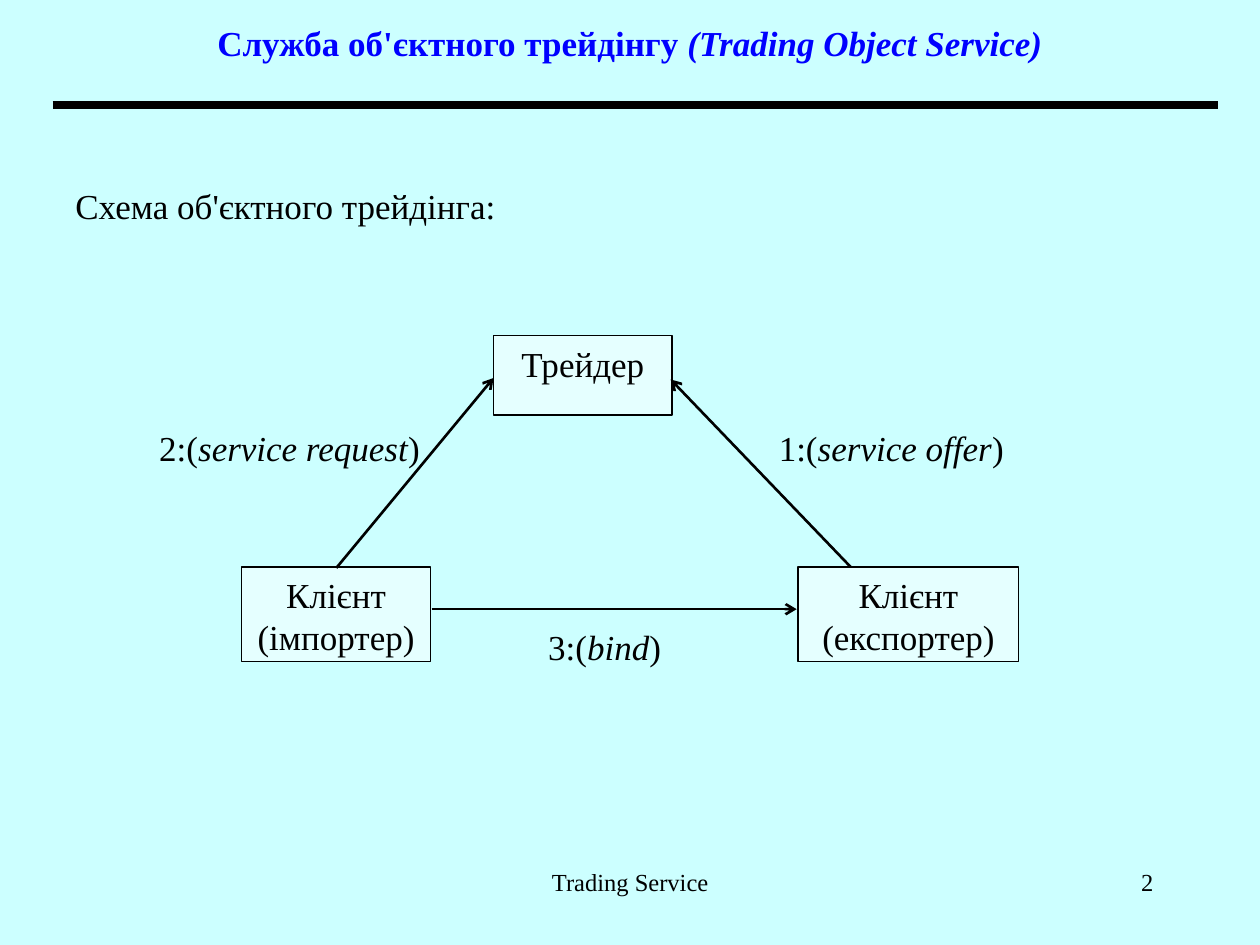
"""Build the slide showing the object trading scheme."""
import dataclasses
import typing

import lxml.etree
import pptx
import pptx.dml.color
import pptx.enum.shapes
import pptx.enum.text
import pptx.oxml.ns
import pptx.util

Cm = pptx.util.Cm
Pt = pptx.util.Pt
ALIGN = pptx.enum.text.PP_ALIGN
ANCHOR = pptx.enum.text.MSO_ANCHOR
FONT = "Times New Roman"
COLORS = {"background": "CCFFFF", "title": "0000FF", "ink": "000000", "box": "FFFFFF"}


@dataclasses.dataclass(frozen=True)
class Run:
    text: str
    bold: bool = False
    italic: bool = False


@dataclasses.dataclass(frozen=True)
class Block:
    left: float
    top: float
    width: float
    height: float
    runs: tuple[Run, ...]
    align: typing.Any = ALIGN.LEFT
    size: int = 20
    color: str = "ink"
    anchor: typing.Any = ANCHOR.TOP
    grow: bool = False

    def bounds(self) -> tuple:
        return tuple(Cm(v) for v in (self.left, self.top, self.width, self.height))


@dataclasses.dataclass(frozen=True)
class Line:
    x1: float
    y1: float
    x2: float
    y2: float
    weight: float = 1.5
    arrow: bool = True


def rgb(name: str) -> pptx.dml.color.RGBColor:
    return pptx.dml.color.RGBColor.from_string(COLORS[name])


def label(left: float, top: float, width: float, number: int, action: str) -> Block:
    runs = (Run(f"{number}:("), Run(action, italic=True), Run(")"))
    return Block(left, top, width, 1.11, runs, grow=True)


def node(left: float, top: float, width: float, height: float, text: str) -> Block:
    return Block(left, top, width, height, (Run(text),), ALIGN.CENTER)


def write(sp: typing.Any, block: Block) -> None:
    tf = sp.text_frame
    tf.word_wrap = True
    tf.vertical_anchor = block.anchor
    if block.grow:
        tf.auto_size = pptx.enum.text.MSO_AUTO_SIZE.SHAPE_TO_FIT_TEXT
    p = tf.paragraphs[0]
    p.alignment = block.align
    for run in block.runs:
        r = p.add_run()
        r.text = run.text
        r.font.name = FONT
        r.font.size = Pt(block.size)
        r.font.bold = run.bold
        r.font.italic = run.italic
        r.font.color.rgb = rgb(block.color)


def draw_text(s: typing.Any, block: Block) -> None:
    write(s.shapes.add_textbox(*block.bounds()), block)


def draw_node(s: typing.Any, block: Block) -> None:
    sp = s.shapes.add_shape(pptx.enum.shapes.MSO_SHAPE.RECTANGLE, *block.bounds())
    sp.shadow.inherit = False
    sp.fill.solid()
    sp.fill.fore_color.rgb = rgb("box")
    qn = pptx.oxml.ns.qn
    color = sp._element.spPr.find(qn("a:solidFill")).find(qn("a:srgbClr"))
    lxml.etree.SubElement(color, qn("a:alpha"), val="50000")
    sp.line.color.rgb = rgb("ink")
    sp.line.width = Pt(0.75)
    write(sp, block)


def draw_line(s: typing.Any, line: Line) -> None:
    ends = (Cm(v) for v in (line.x1, line.y1, line.x2, line.y2))
    sp = s.shapes.add_connector(pptx.enum.shapes.MSO_CONNECTOR.STRAIGHT, *ends)
    sp.line.color.rgb = rgb("ink")
    sp.line.width = Pt(line.weight)
    qn = pptx.oxml.ns.qn
    if line.arrow:
        lxml.etree.SubElement(sp.line._get_or_add_ln(), qn("a:tailEnd"), type="arrow")
    lxml.etree.SubElement(sp._element.spPr, qn("a:effectLst"))


TITLE = Block(
    1.9, 0, 21.6, 1.7,
    (Run("Служба об'єктного трейдінгу", bold=True),
     Run(" (Trading Object Service)", bold=True, italic=True)),
    ALIGN.CENTER, color="title", anchor=ANCHOR.MIDDLE,
)
RULE = Line(1.06, 2.12, 24.55, 2.12, weight=4.5, arrow=False)
INTRO = Block(1.27, 3.6, 23.5, 2.54, (Run("Схема об'єктного трейдінга:"),), ALIGN.JUSTIFY)
NODES = (
    node(9.95, 6.77, 3.6, 1.6, "Трейдер"),
    node(4.87, 11.43, 3.81, 1.9, "Клієнт (імпортер)"),
    node(16.09, 11.43, 4.45, 1.9, "Клієнт (експортер)"),
)
ARROWS = (
    Line(6.78, 11.45, 9.95, 7.62),
    Line(17.15, 11.43, 13.52, 7.65),
    Line(8.7, 12.28, 16.06, 12.28),
)
LABELS = (
    label(15.45, 8.47, 5.08, 1, "service offer"),
    label(2.96, 8.47, 6.14, 2, "service request"),
    label(10.8, 12.49, 3.18, 3, "bind"),
)
FOOTERS = (
    Block(8.68, 17.36, 8.05, 1.27, (Run("Trading Service"),), ALIGN.CENTER, 14),
    Block(18.2, 17.36, 5.3, 1.27, (Run("2"),), ALIGN.RIGHT, 14),
)


def main() -> None:
    prs = pptx.Presentation()
    prs.slide_width, prs.slide_height = Cm(25.4), Cm(19.05)
    s = prs.slides.add_slide(prs.slide_layouts[6])
    s.background.fill.solid()
    s.background.fill.fore_color.rgb = rgb("background")
    draw_text(s, TITLE)
    draw_line(s, RULE)
    draw_text(s, INTRO)
    for block in NODES:
        draw_node(s, block)
    for line in ARROWS:
        draw_line(s, line)
    for block in LABELS + FOOTERS:
        draw_text(s, block)
    prs.save("out.pptx")


if __name__ == "__main__":
    main()
